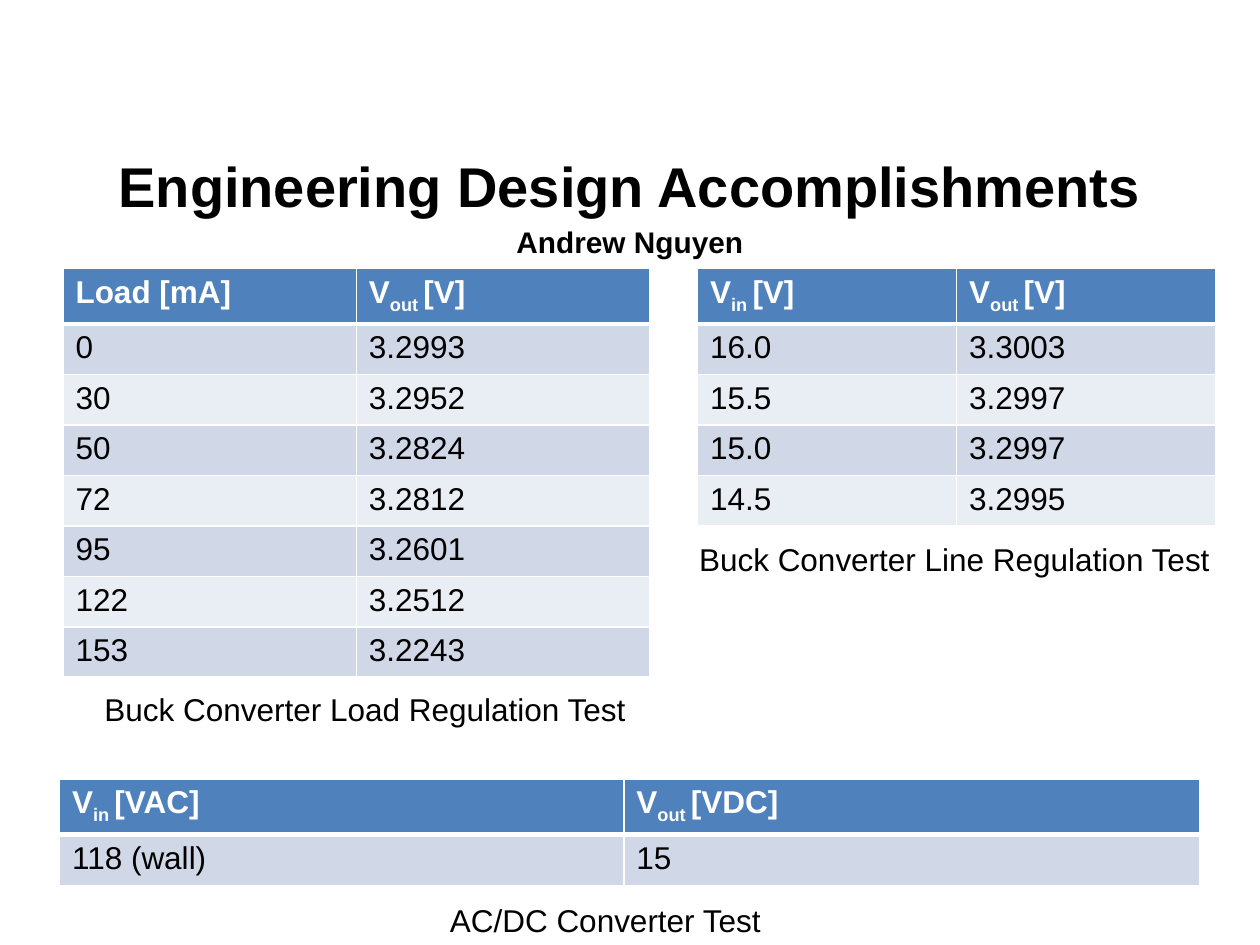
from lxml.etree import SubElement
from pptx import Presentation
from pptx.dml.color import RGBColor
from pptx.enum.text import MSO_ANCHOR, PP_ALIGN
from pptx.oxml.ns import qn
from pptx.util import Pt

FONT = "Arial"
WHITE, BLACK, BLUE = "FFFFFF", "000000", "4F81BD"
BANDS = ("D0D8E8", "E9EDF4")
LOAD_TEST = [
    ("Load [mA]", "V|out |[V]"),
    ("0", "3.2993"),
    ("30", "3.2952"),
    ("50", "3.2824"),
    ("72", "3.2812"),
    ("95", "3.2601"),
    ("122", "3.2512"),
    ("153", "3.2243"),
]
LINE_TEST = [
    ("V|in |[V]", "V|out |[V]"),
    ("16.0", "3.3003"),
    ("15.5", "3.2997"),
    ("15.0", "3.2997"),
    ("14.5", "3.2995"),
]
ACDC_TEST = [("V|in |[VAC]", "V|out |[VDC]"), ("118 (wall)", "15")]


def rgb(color):
    """Turn a hex string into a colour."""
    return RGBColor.from_string(color)


def format_run(r, size, color=BLACK, bold=False):
    """Set the font of a run."""
    r.font.name = FONT
    r.font.size = Pt(size)
    r.font.bold = bold
    r.font.color.rgb = rgb(color)


def add_textbox(slide, left, top, width, height):
    """Add a wrapping text box and return its text frame."""
    tf = slide.shapes.add_textbox(Pt(left), Pt(top), Pt(width), Pt(height)).text_frame
    tf.word_wrap = True
    return tf


def add_title(slide, title, author):
    """Add the centred title with the author below it."""
    tf = add_textbox(slide, 36, 82.8, 648, 63.36)
    tf.vertical_anchor = MSO_ANCHOR.MIDDLE
    tf.text = f"{title}\n{author}"
    for p, size in zip(tf.paragraphs, (32, 17)):
        p.alignment = PP_ALIGN.CENTER
        p.line_spacing = 1.15
        format_run(p.runs[0], size, bold=True)


def add_caption(slide, text, left, top, width, indent=0):
    """Add a table caption with a left indent."""
    tf = add_textbox(slide, left, top, width, 28.8)
    tf.text = text
    p = tf.paragraphs[0]
    p._p.get_or_add_pPr().set("marL", str(Pt(indent)))
    format_run(p.runs[0], 18)


def set_borders(cell, top, bottom):
    """Give a cell white borders of the given top and bottom widths."""
    tcPr = cell._tc.get_or_add_tcPr()
    for side, width in (("L", 1), ("R", 1), ("T", top), ("B", bottom)):
        ln = SubElement(tcPr, qn(f"a:ln{side}"), w=str(Pt(width)))
        SubElement(SubElement(ln, qn("a:solidFill")), qn("a:srgbClr"), val=WHITE)


def fill_cell(cell, text, row):
    """Write a cell, with every second part between bars as a subscript."""
    header = row == 0
    set_borders(cell, 3 if row == 1 else 1, 3 if header else 1)
    cell.fill.solid()
    cell.fill.fore_color.rgb = rgb(BLUE if header else BANDS[(row - 1) % 2])
    p = cell.text_frame.paragraphs[0]
    for i, part in enumerate(text.split("|")):
        r = p.add_run()
        r.text = part
        format_run(r, 18, WHITE if header else BLACK, header)
        if i % 2:
            r.font._element.set("baseline", "-25000")


def add_data_table(slide, rows, left, top, widths, header_height, row_height):
    """Add a table with a blue header and banded rows."""
    height = header_height + row_height * (len(rows) - 1)
    table = slide.shapes.add_table(
        len(rows), len(widths), Pt(left), Pt(top), Pt(sum(widths)), Pt(height)
    ).table
    for column, width in zip(table.columns, widths):
        column.width = Pt(width)
    for i, values in enumerate(rows):
        table.rows[i].height = Pt(row_height if i else header_height)
        for j, text in enumerate(values):
            fill_cell(table.cell(i, j), text, i)


def main():
    """Build the slide and save it."""
    prs = Presentation()
    prs.slide_width, prs.slide_height = Pt(720), Pt(540)
    slide = prs.slides.add_slide(prs.slide_layouts[6])
    add_title(slide, "Engineering Design Accomplishments", "Andrew Nguyen")
    add_data_table(slide, ACDC_TEST, 34, 445, (322.5, 329), 29.4, 29.4)
    add_data_table(slide, LOAD_TEST, 36, 153.4, (167.6, 167.6), 31.4, 27.4)
    add_caption(slide, "AC/DC Converter Test", 34, 511.2, 648.7, 216)
    add_data_table(slide, LINE_TEST, 398.6, 153.4, (148, 148), 31.4, 28.8)
    add_caption(slide, "Buck Converter Load Regulation Test", 34.6, 391, 337, 18)
    add_caption(slide, "Buck Converter Line Regulation Test", 392.4, 305.3, 306.7)
    prs.save("out.pptx")


if __name__ == "__main__":
    main()
